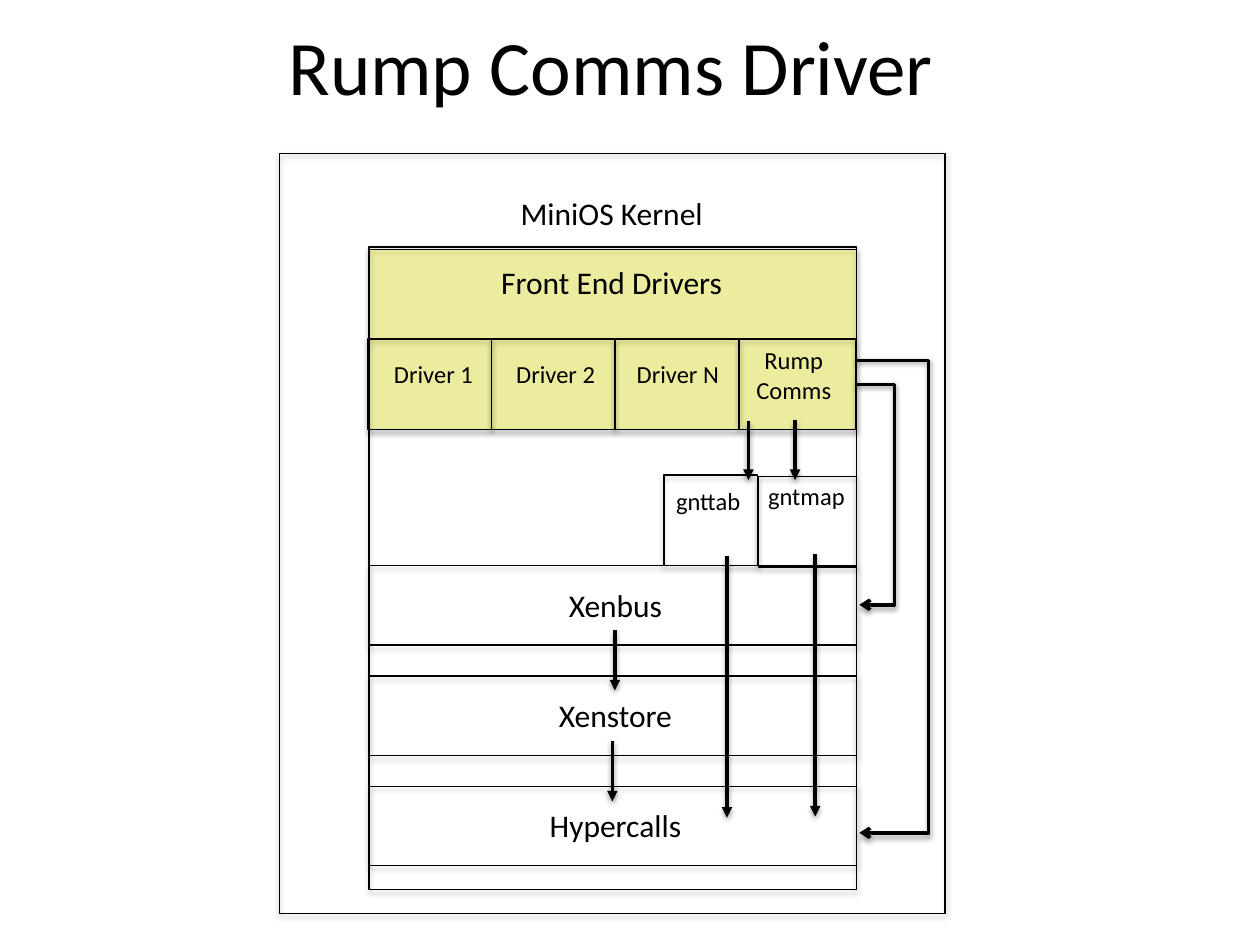
from typing import NamedTuple, Optional

from lxml import etree
from pptx import Presentation
from pptx.dml.color import RGBColor
from pptx.enum.shapes import MSO_CONNECTOR as Connector, MSO_SHAPE as Preset
from pptx.enum.text import MSO_ANCHOR as Anchor, MSO_AUTO_SIZE as AutoSize, PP_ALIGN as Align
from pptx.oxml.ns import qn
from pptx.util import Inches, Pt

BLACK = RGBColor(0x00, 0x00, 0x00)
YELLOW = RGBColor(0xFF, 0xFF, 0x00)

STACK_LEFT, STACK_WIDTH = 2.93, 3.87
DRIVER_TOP, DRIVER_WIDTH, BLOCK_HEIGHT = 2.69, 0.98, 0.72
LAYER_TOP, LAYER_STEP, LAYER_HEIGHT = 4.49, 0.875, 0.63
SMALL_WIDTH, SMALL_HEIGHT, LARGE_HEIGHT = 0.92, 0.34, 0.4


class Box(NamedTuple):
    """A thin black rectangle, with an optional translucent fill."""
    left: float
    top: float
    width: float
    height: float
    fill: Optional[RGBColor] = None


class Label(NamedTuple):
    """A centred line of text."""
    text: str
    left: float
    top: float
    width: float = STACK_WIDTH
    height: float = LARGE_HEIGHT
    size: int = 18


class Arrow(NamedTuple):
    """An arrow; a bend is the horizontal position of its detour."""
    start: tuple
    end: tuple
    bend: Optional[float] = None


def small(text: str, left: float, top: float, height: float = SMALL_HEIGHT) -> Label:
    """Return a label for one of the small blocks."""
    return Label(text, left, top, SMALL_WIDTH, height, 14)


LAYERS = [(name, LAYER_TOP + index * LAYER_STEP)
          for index, name in enumerate(("Xenbus", "Xenstore", "Hypercalls"))]

BOXES = [
    Box(2.22, 1.22, 5.28, 6.03),
    Box(STACK_LEFT, 1.96, STACK_WIDTH, 5.1),
    Box(STACK_LEFT, 1.98, STACK_WIDTH, 1.43, YELLOW),
    *[Box(2.92 + column * DRIVER_WIDTH, DRIVER_TOP, DRIVER_WIDTH, BLOCK_HEIGHT)
      for column in range(3)],
    Box(5.87, DRIVER_TOP, 0.92, BLOCK_HEIGHT),
    *[Box(STACK_LEFT, top, STACK_WIDTH, LAYER_HEIGHT) for _, top in LAYERS],
    Box(5.27, 3.77, 0.74, BLOCK_HEIGHT),
    Box(6.02, 3.78, 0.78, BLOCK_HEIGHT),
]

LABELS = [
    Label("MiniOS Kernel", 2.92, 1.49),
    Label("Front End Drivers", 2.92, 2.04),
    *[small(f"Driver {name}", 2.98 + column * 0.97, 2.8)
      for column, name in enumerate("12N")],
    small("Rump Comms", 5.84, DRIVER_TOP, 0.57),
    *[Label(name, 2.95, top + 0.11) for name, top in LAYERS],
    small("gnttab", 5.16, 3.81),
    small("gntmap", 5.94, 3.77),
]

ARROWS = [
    Arrow((5.94, 3.34), (5.94, 3.81)),
    Arrow((6.31, 3.33), (6.31, 3.81)),
    Arrow((4.88, 5), (4.88, 5.48)),
    Arrow((4.86, 5.88), (4.86, 6.36)),
    Arrow((5.77, 4.41), (5.77, 6.49)),
    Arrow((6.47, 4.4), (6.47, 6.48)),
    Arrow((6.79, 3.05), (6.82, 4.8), 7.1),
    Arrow((6.79, 2.86), (6.82, 6.61), 7.37),
]


def add_shadow(shape, distance: float, opacity: int) -> None:
    """Give a shape a soft black shadow below it."""
    properties = shape._element.spPr
    effects = properties.find(qn("a:effectLst"))
    if effects is None:
        effects = etree.SubElement(properties, qn("a:effectLst"))
    shadow = etree.SubElement(effects, qn("a:outerShdw"), blurRad=str(Pt(3.1)),
                              dist=str(Pt(distance)), dir="5400000", rotWithShape="0")
    color = etree.SubElement(shadow, qn("a:srgbClr"), val=str(BLACK))
    etree.SubElement(color, qn("a:alpha"), val=str(opacity * 1000))


def set_line(shape, width: float) -> None:
    """Set a black outline of the given width in points."""
    shape.line.color.rgb = BLACK
    shape.line.width = Pt(width)


def add_box(slide, box: Box) -> None:
    """Draw a rectangle."""
    shape = slide.shapes.add_shape(Preset.RECTANGLE, *map(Inches, box[:4]))
    if box.fill is None:
        shape.fill.background()
    else:
        shape.fill.solid()
        shape.fill.fore_color.rgb = box.fill
        color = shape._element.spPr.find(qn("a:solidFill"))[0]
        etree.SubElement(color, qn("a:alpha"), val="30000")
    set_line(shape, 0.75)
    shape.shadow.inherit = False
    add_shadow(shape, 1.8, 35)


def add_label(slide, label: Label, **frame_format) -> None:
    """Write a centred label; extra values are set on its text frame."""
    position = (label.left, label.top, label.width, label.height)
    frame = slide.shapes.add_textbox(*map(Inches, position)).text_frame
    for name, value in {"word_wrap": True, **frame_format}.items():
        setattr(frame, name, value)
    paragraph = frame.paragraphs[0]
    paragraph.alignment = Align.CENTER
    run = paragraph.add_run()
    run.text = label.text
    for name, value in {"name": "Calibri", "size": Pt(label.size)}.items():
        setattr(run.font, name, value)
    run.font.color.rgb = BLACK


def add_arrow(slide, arrow: Arrow) -> None:
    """Draw a straight or bent arrow."""
    bent = arrow.bend is not None
    kind = Connector.ELBOW if bent else Connector.STRAIGHT
    shape = slide.shapes.add_connector(kind, *map(Inches, arrow.start + arrow.end))
    set_line(shape, 2)
    properties = shape._element.spPr
    etree.SubElement(properties.find(qn("a:ln")), qn("a:tailEnd"),
                     type="arrow" if bent else "triangle")
    if bent:
        left, right = arrow.start[0], arrow.end[0]
        ratio = round((arrow.bend - left) / (right - left) * 100000)
        guides = properties.find(qn("a:prstGeom")).find(qn("a:avLst"))
        etree.SubElement(guides, qn("a:gd"), name="adj1", fmla=f"val {ratio}")
    add_shadow(shape, 1.6, 38)


def main() -> None:
    """Build and save the slide."""
    presentation = Presentation()
    presentation.slide_width, presentation.slide_height = Inches(10), Inches(7.5)
    slide = presentation.slides.add_slide(presentation.slide_layouts[6])
    add_label(slide, Label("Rump Comms Driver", 0.6, 0, 8.5, 1.02, 44),
              vertical_anchor=Anchor.MIDDLE)
    for box in BOXES:
        add_box(slide, box)
    for label in LABELS:
        add_label(slide, label, auto_size=AutoSize.SHAPE_TO_FIT_TEXT)
    for arrow in ARROWS:
        add_arrow(slide, arrow)
    presentation.save("out.pptx")


main()
